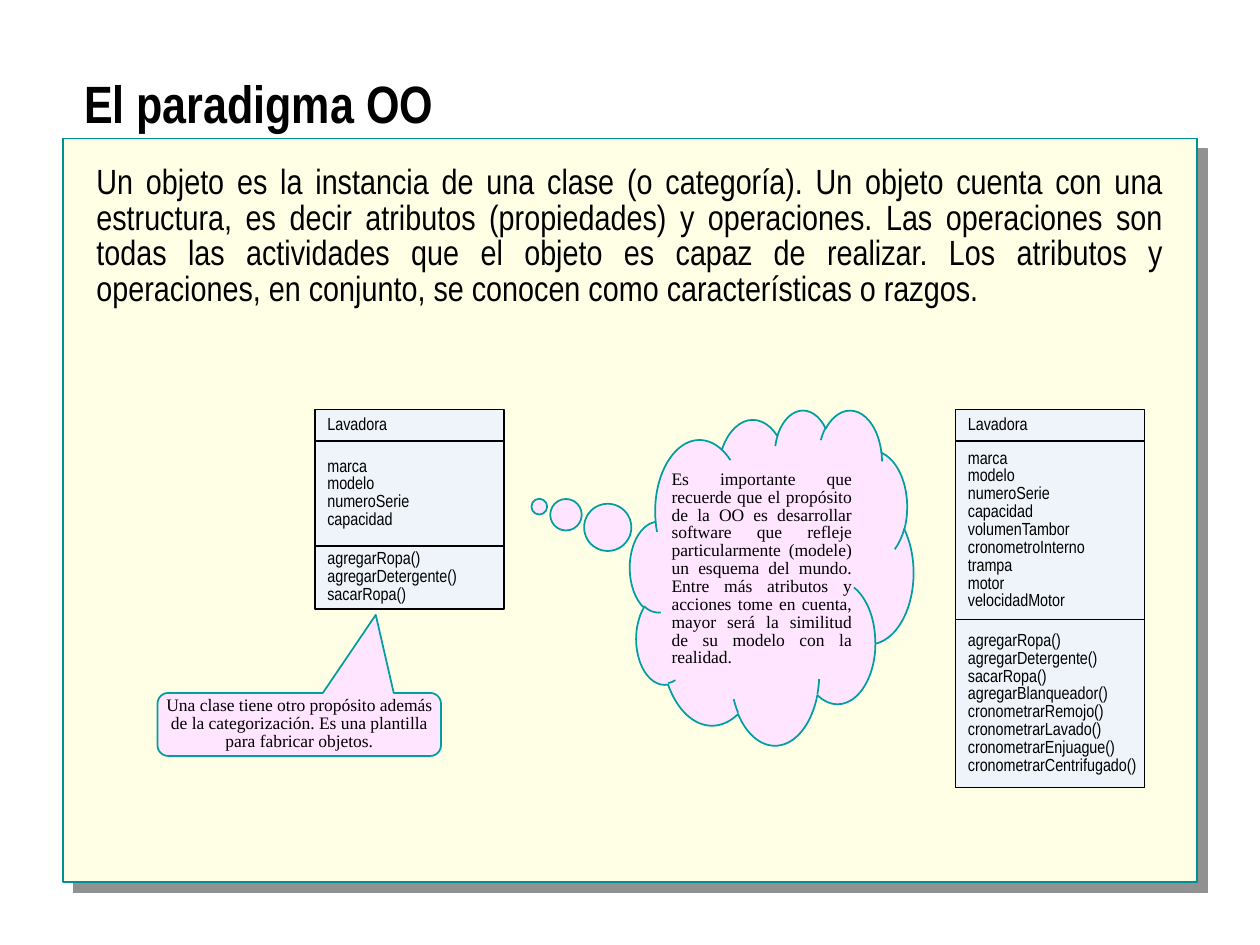
from dataclasses import dataclass

from lxml import etree
from pptx import Presentation
from pptx import util as u
from pptx.dml.color import RGBColor
from pptx.enum import shapes, text
from pptx.oxml.ns import qn

Pt = u.Pt
SHAPE = shapes.MSO_SHAPE
ALIGN = text.PP_ALIGN
ANCHOR = text.MSO_ANCHOR
NARROW = "Arial Narrow"
SERIF = "Times New Roman"
BLACK = "000000"
PINK = "FFE5FF"
TEAL = "009EA1"


@dataclass
class Box:
    left: float
    top: float
    width: float
    height: float

    def lengths(self) -> tuple:
        return Pt(self.left), Pt(self.top), Pt(self.width), Pt(self.height)


@dataclass
class Style:
    font: str
    size: float
    align: ALIGN = ALIGN.JUSTIFY
    spacing: float = 0.85
    bold: bool = False
    anchor: ANCHOR = ANCHOR.MIDDLE
    insets: tuple = (7.2, 3.6, 7.2, 3.6)
    wrap: bool = True
    grow: bool = False


@dataclass
class Compartment:
    height: float
    lines: list


@dataclass
class ClassDiagram:
    left: float
    top: float
    width: float
    compartments: list


@dataclass
class Callout:
    preset: SHAPE
    box: Box
    adjustments: tuple
    content: str
    style: Style


NOTE_INSETS = (1.44, 0.72, 1.44, 0.72)
TITLE = Style(NARROW, 30, ALIGN.LEFT, 0.8, bold=True, anchor=ANCHOR.BOTTOM,
              insets=(6, 0, 6, 1.5))
BODY = Style(NARROW, 20, grow=True)
MEMBER = Style(NARROW, 10, insets=(7.2, 0.72, 1.44, 0.72), wrap=False)
NOTE = Style(SERIF, 10, ALIGN.CENTER, insets=NOTE_INSETS, grow=True)
THOUGHT = Style(SERIF, 10, insets=NOTE_INSETS, grow=True)

BASIC_ATTRIBUTES = ["marca", "modelo", "numeroSerie", "capacidad"]
BASIC_OPERATIONS = ["agregarRopa()", "agregarDetergente()", "sacarRopa()"]
DIAGRAMS = [
    ClassDiagram(180, 234, 108, [
        Compartment(18, ["Lavadora"]),
        Compartment(60, BASIC_ATTRIBUTES),
        Compartment(36, BASIC_OPERATIONS),
    ]),
    ClassDiagram(546, 234, 108, [
        Compartment(18, ["Lavadora"]),
        Compartment(102, BASIC_ATTRIBUTES + [
            "volumenTambor", "cronometroInterno", "trampa", "motor",
            "velocidadMotor"]),
        Compartment(96, BASIC_OPERATIONS + [
            "agregarBlanqueador()", "cronometrarRemojo()",
            "cronometrarLavado()", "cronometrarEnjuague()",
            "cronometrarCentrifugado()"]),
    ]),
]
CALLOUTS = [
    Callout(SHAPE.ROUNDED_RECTANGULAR_CALLOUT, Box(90, 396, 162, 36),
            (0.27, -1.74, 0.17),
            "Una clase tiene otro propósito además de la categorización. "
            "Es una plantilla para fabricar objetos.", NOTE),
    Callout(SHAPE.CLOUD_CALLOUT, Box(360, 234, 162, 191.5), (-0.82, -0.21),
            "Es importante que recuerde que el propósito de la OO es "
            "desarrollar software que refleje particularmente (modele) un "
            "esquema del mundo. Entre más atributos y acciones tome en "
            "cuenta, mayor será la similitud de su modelo con la realidad.",
            THOUGHT),
]
DEFINITION = (
    "Un objeto es la instancia de una clase (o categoría). Un objeto cuenta "
    "con una estructura, es decir atributos (propiedades) y operaciones. Las "
    "operaciones son todas las actividades que el objeto es capaz de "
    "realizar. Los atributos y operaciones, en conjunto, se conocen como "
    "características o razgos.")


def color(value: str) -> RGBColor:
    return RGBColor.from_string(value)


def write(shape, content: str, style: Style) -> None:
    frame = shape.text_frame
    frame.text = content
    frame.word_wrap = style.wrap
    frame.auto_size = (text.MSO_AUTO_SIZE.SHAPE_TO_FIT_TEXT if style.grow
                       else text.MSO_AUTO_SIZE.NONE)
    frame.vertical_anchor = style.anchor
    (frame.margin_left, frame.margin_top,
     frame.margin_right, frame.margin_bottom) = map(Pt, style.insets)
    for paragraph in frame.paragraphs:
        paragraph.alignment = style.align
        paragraph.line_spacing = style.spacing
        for run in paragraph.runs:
            run.font.name = style.font
            run.font.size = Pt(style.size)
            run.font.bold = style.bold
            run.font.color.rgb = color(BLACK)


def add_text(slide, box: Box, content: str, style: Style) -> None:
    write(slide.shapes.add_textbox(*box.lengths()), content, style)


def add_outlined(slide, preset: SHAPE, box: Box, fill: str, line: str):
    shape = slide.shapes.add_shape(preset, *box.lengths())
    shape.shadow.inherit = False
    shape.fill.solid()
    shape.fill.fore_color.rgb = color(fill)
    shape.line.color.rgb = color(line)
    shape.line.width = Pt(1)
    return shape


def add_hard_shadow(shape, tint: str, distance: float) -> None:
    """Cast an unblurred shadow towards the lower right."""
    effects = shape._element.spPr.find(qn("a:effectLst"))
    shadow = etree.SubElement(
        effects, qn("a:outerShdw"), blurRad="0", dist=str(Pt(distance)),
        dir="2700000", algn="tl", rotWithShape="0")
    etree.SubElement(shadow, qn("a:srgbClr"), val=tint)


def add_diagram(slide, diagram: ClassDiagram) -> None:
    top = diagram.top
    for compartment in diagram.compartments:
        box = Box(diagram.left, top, diagram.width, compartment.height)
        shape = add_outlined(slide, SHAPE.RECTANGLE, box, "EEF4FA", BLACK)
        write(shape, "\n".join(compartment.lines), MEMBER)
        top += compartment.height


def add_callout(slide, callout: Callout) -> None:
    shape = add_outlined(slide, callout.preset, callout.box, PINK, TEAL)
    for index, value in enumerate(callout.adjustments):
        shape.adjustments[index] = value
    write(shape, callout.content, callout.style)


def main() -> None:
    presentation = Presentation()
    presentation.slide_width, presentation.slide_height = Pt(720), Pt(540)
    slide = presentation.slides.add_slide(presentation.slide_layouts[6])

    panel = add_outlined(slide, SHAPE.RECTANGLE, Box(36, 79.2, 648, 424.8),
                         "FFFFE5", "009094")
    add_hard_shadow(panel, "919191", 8.5)
    add_text(slide, Box(48, 91.2, 624, 88.8), DEFINITION, BODY)
    add_text(slide, Box(42, 42, 636, 36), "El paradigma OO", TITLE)
    for diagram in DIAGRAMS:
        add_diagram(slide, diagram)
    for callout in CALLOUTS:
        add_callout(slide, callout)

    presentation.save("out.pptx")


if __name__ == "__main__":
    main()
